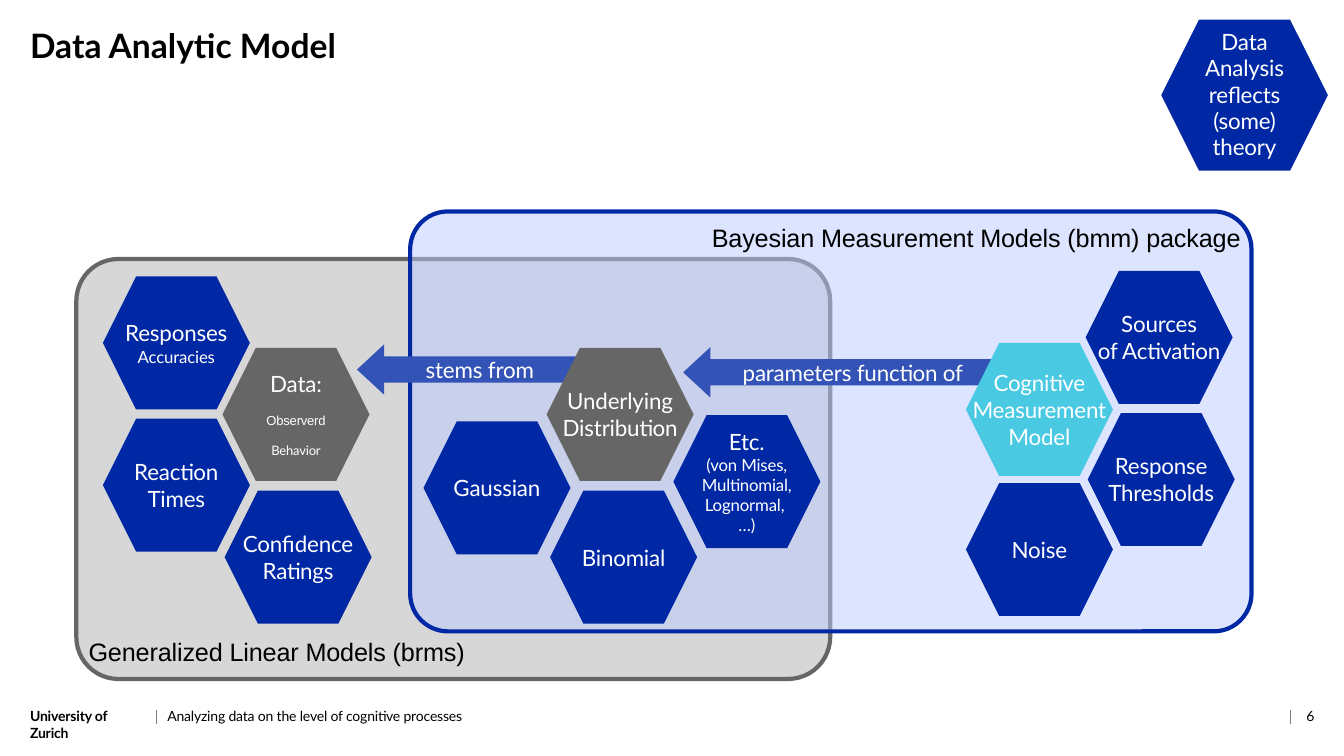
import pptx
import pptx.dml.color
import pptx.enum.shapes
import pptx.enum.text
import pptx.oxml
import pptx.oxml.ns
import pptx.util

Pt = pptx.util.Pt
SHAPE = pptx.enum.shapes.MSO_SHAPE
ALIGN = pptx.enum.text.PP_ALIGN
ANCHOR = pptx.enum.text.MSO_ANCHOR

COLORS = {
    "black": "000000", "white": "FFFFFF", "rule": "808080",
    "blue": "0028A5", "arrow": "3353B7", "pale blue": "BACBFF",
    "gray": "666666", "pale gray": "D7D7D7", "cyan": "4AC9E3",
}
HEXAGON_WIDTH, HEXAGON_HEIGHT = 105, 95

# Each cell: x and y within its cluster, fill, lines of text.
# A line is a string at 16 pt or (text, format overrides).
SMALL = {"size": 12}
DATA_CELLS = [
    (85.5, 51, "gray", ["Data:", ("Observerd", {"font": "Arial", "baseline": -25}),
                        ("Behavior", {"baseline": -25})]),
    (0, 0, "blue", ["Responses", ("Accuracies", SMALL)]),
    (0, 101.5, "blue", ["Reaction", "Times"]),
    (87, 153, "blue", ["Confidence", "Ratings"]),
]
DISTRIBUTION_CELLS = [
    (88, 0, "gray", ["Underlying", "Distribution"]),
    (0, 52.5, "blue", ["Gaussian"]),
    (90.5, 102, "blue", ["Binomial"]),
    (178.5, 48, "blue", ["Etc.", ("(von Mises,", SMALL), ("Multinomial,", SMALL),
                         ("Lognormal, ", SMALL), ("…)", SMALL)]),
]
COGNITIVE_CELLS = [
    (0, 51.5, "cyan", ["Cognitive", "Measurement", "Model"]),
    (85.5, 0, "blue", ["Sources", "of Activation"]),
    (87, 101.5, "blue", ["Response", "Thresholds"]),
    (0, 151.5, "blue", ["Noise"]),
]


def color(name):
    return pptx.dml.color.RGBColor.from_string(COLORS[name])


def empty_element(tag, attributes=""):
    return pptx.oxml.parse_xml(f'<a:{tag} {pptx.oxml.ns.nsdecls("a")} {attributes}/>')


def write(frame, lines, align=ALIGN.LEFT, anchor=ANCHOR.TOP, wrap=False, inset=True,
          spacing=None, **base):
    """Fill a text frame with one paragraph per line; inset=False removes the margins."""
    frame.auto_size = pptx.enum.text.MSO_AUTO_SIZE.NONE
    frame.word_wrap = wrap
    frame.vertical_anchor = anchor
    if not inset:
        frame.margin_left = frame.margin_top = frame.margin_right = frame.margin_bottom = 0
    for index, line in enumerate(lines):
        text, changes = (line, {}) if isinstance(line, str) else line
        style = {"font": "Lato", "size": 16, "color": "black", "bold": False,
                 "tracking": -10, "baseline": 0, **base, **changes}
        paragraph = frame.paragraphs[0] if index == 0 else frame.add_paragraph()
        paragraph.alignment = align
        if spacing:
            paragraph.line_spacing = spacing
        run = paragraph.add_run()
        run.text = text
        run.font.name = style["font"]
        run.font.size = Pt(style["size"])
        run.font.bold = style["bold"]
        run.font.color.rgb = color(style["color"])
        properties = run._r.get_or_add_rPr()
        properties.set("spc", str(style["tracking"]))
        if style["baseline"]:
            properties.set("baseline", str(style["baseline"] * 1000))


def add_filled_shape(slide, kind, box, fill):
    shape = slide.shapes.add_shape(kind, *map(Pt, box))
    shape.shadow.inherit = False
    shape.fill.solid()
    shape.fill.fore_color.rgb = color(fill)
    shape.line.fill.background()
    return shape


def add_title(slide, box, text):
    title = slide.shapes.title
    title.left, title.top, title.width, title.height = map(Pt, box)
    write(title.text_frame, [text], wrap=True, inset=False, spacing=0.97,
          size=24, bold=True, tracking=0)


def add_theory_badge(slide, box):
    badge = add_filled_shape(slide, SHAPE.HEXAGON, box, "blue")
    write(badge.text_frame, ["Data Analysis reflects (some) theory"], ALIGN.CENTER,
          ANCHOR.MIDDLE, wrap=True, spacing=0.98, color="white")


def add_package_panel(slide, box, label, fill, outline, corner, align, anchor, alpha=None):
    panel = add_filled_shape(slide, SHAPE.ROUNDED_RECTANGLE, box, fill)
    panel.adjustments[0] = corner
    if alpha:
        fill_color = next(panel._element.spPr.iter(pptx.oxml.ns.qn("a:srgbClr")))
        fill_color.append(empty_element("alpha", f'val="{alpha * 1000}"'))
    panel.line.color.rgb = color(outline)
    panel.line.width = Pt(3)
    write(panel.text_frame, [label], align, anchor, inset=False, font="Arial", size=18)


def add_arrow(slide, box, label):
    arrow = add_filled_shape(slide, SHAPE.LEFT_ARROW, box, "arrow")
    arrow.adjustments[0] = 0.52
    arrow.adjustments[1] = 0.54
    write(arrow.text_frame, [label], ALIGN.CENTER, ANCHOR.MIDDLE, inset=False, color="white")


def add_honeycomb(slide, left, top, cells):
    for x, y, fill, lines in cells:
        box = (left + x, top + y, HEXAGON_WIDTH, HEXAGON_HEIGHT)
        cell = add_filled_shape(slide, SHAPE.HEXAGON, box, fill)
        write(cell.text_frame, lines, ALIGN.CENTER, ANCHOR.MIDDLE, inset=False, color="white")


def add_footer(slide, box):
    left, top, width, height = box
    for x in (90, width - 17.5):
        rule = slide.shapes.add_connector(
            pptx.enum.shapes.MSO_CONNECTOR.STRAIGHT,
            Pt(left + x), Pt(top + 1.5), Pt(left + x), Pt(top + height))
        rule.line.color.rgb = color("rule")
        rule.line.width = Pt(0.5)
        rule._element.spPr.append(empty_element("effectLst"))
    entries = [
        (0, 83.5, "University of Zurich", True, ALIGN.LEFT),
        (98, 623.5, "Analyzing data on the level of cognitive processes", False, ALIGN.LEFT),
        (width - 16.5, 16.5, "6", False, ALIGN.RIGHT),
    ]
    for x, entry_width, text, bold, align in entries:
        entry = slide.shapes.add_textbox(Pt(left + x), Pt(top), Pt(entry_width), Pt(height))
        write(entry.text_frame, [text], align, wrap=True, inset=False, spacing=0.98,
              size=10, bold=bold)


def main():
    presentation = pptx.Presentation()
    presentation.slide_width, presentation.slide_height = Pt(960), Pt(540)
    slide = presentation.slides.add_slide(presentation.slide_layouts.get_by_name("Title Only"))
    add_title(slide, (21.5, 19.5, 917.5, 49), "Data Analytic Model")
    add_theory_badge(slide, (829.5, 14, 119, 108))
    add_package_panel(slide, (54.5, 185, 538.5, 300), "Generalized Linear Models (brms)",
                      "pale gray", "gray", 0.1, ALIGN.LEFT, ANCHOR.BOTTOM)
    add_package_panel(slide, (293, 151, 601, 300), "Bayesian Measurement Models (bmm) package",
                      "pale blue", "blue", 0.09, ALIGN.RIGHT, ANCHOR.TOP, alpha=50)
    add_arrow(slide, (255, 246, 165.5, 36), "stems from")
    add_arrow(slide, (488, 248, 232.5, 36), "parameters function of")
    add_honeycomb(slide, 73.5, 197.5, DATA_CELLS)
    add_honeycomb(slide, 302.5, 248.5, DISTRIBUTION_CELLS)
    add_honeycomb(slide, 690, 193.5, COGNITIVE_CELLS)
    add_footer(slide, (21.5, 506, 917.5, 11.5))
    presentation.save("out.pptx")


if __name__ == "__main__":
    main()
